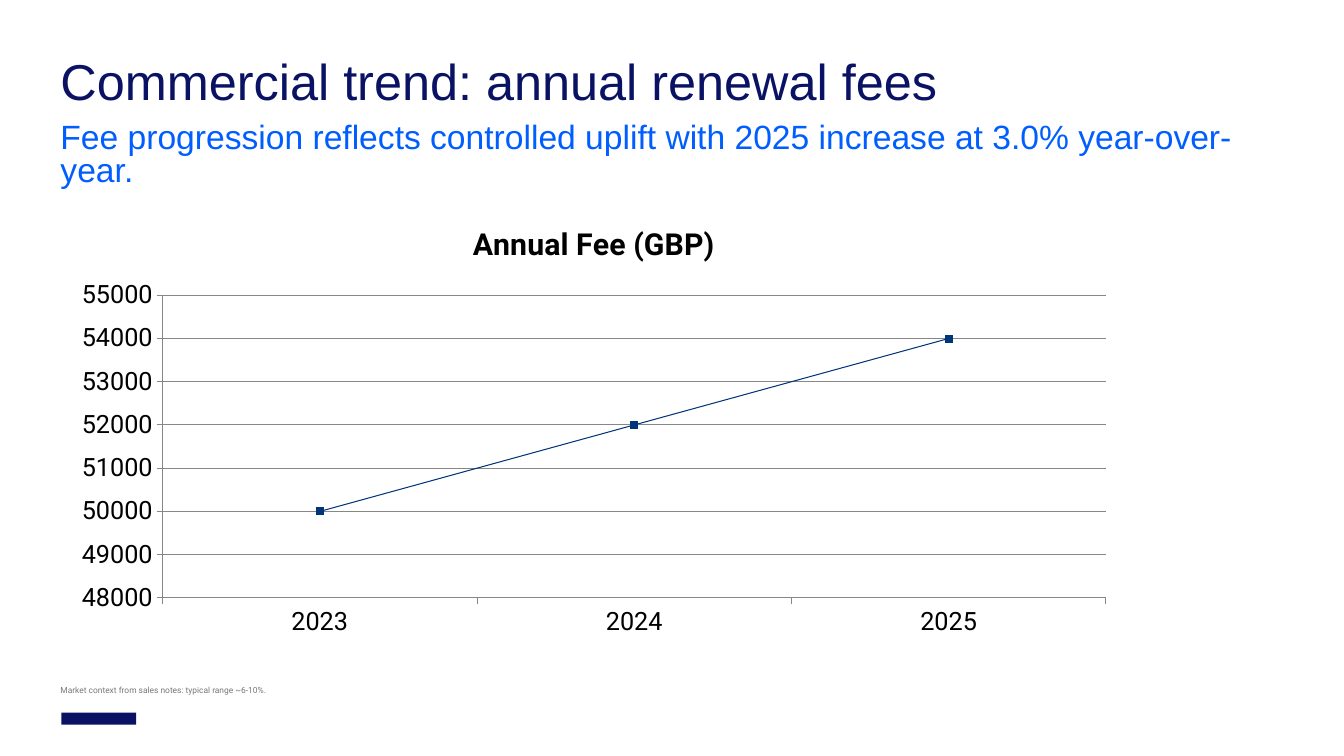
from pptx import Presentation
from pptx.chart.data import CategoryChartData
from pptx.dml.color import RGBColor
from pptx.enum.chart import XL_CHART_TYPE, XL_MARKER_STYLE, XL_TICK_MARK
from pptx.enum.shapes import MSO_SHAPE
from pptx.enum.text import MSO_ANCHOR
from pptx.util import Inches, Pt

NAVY, BLUE, GREY, LINE, AXIS = "0A1264", "005EFF", "75787B", "00357A", "878787"
LEFT = 0.6


def rgb(color):
    return RGBColor.from_string(color)


def inches(box):
    return [Inches(v) for v in box]


def add_text(s, box, text, size, color, font="Arial", spacing=1.0,
             anchor=MSO_ANCHOR.TOP):
    tf = s.shapes.add_textbox(*inches(box)).text_frame
    tf.word_wrap = True
    tf.margin_left = tf.margin_right = tf.margin_top = tf.margin_bottom = 0
    tf.vertical_anchor = anchor
    p = tf.paragraphs[0]
    p.text = text
    p.line_spacing = spacing
    f = p.runs[0].font
    f.name, f.size, f.color.rgb = font, Pt(size), rgb(color)
    return p


def add_header(s, left, top, width):
    add_text(s, (left, top, width, 0.48), "Commercial trend: annual renewal fees",
             36, NAVY, spacing=Pt(36))
    add_text(s, (left, top + 0.63, width, 0.32),
             "Fee progression reflects controlled uplift with 2025 increase "
             "at 3.0% year-over-year.", 24, BLUE, spacing=0.8)


def add_fee_chart(s, box):
    data = CategoryChartData()
    data.categories = ["2023", "2024", "2025"]
    data.add_series("Annual Fee (GBP)", (50000, 52000, 54000))
    chart = s.shapes.add_chart(XL_CHART_TYPE.LINE_MARKERS, *inches(box), data).chart
    chart.font.name, chart.font.size = "Roboto", Pt(18)
    chart.font.color.rgb = rgb("000000")
    chart.has_legend = False

    chart.has_title = True
    chart.chart_title.include_in_layout = False
    tf = chart.chart_title.text_frame
    tf.text = "Annual Fee (GBP)"
    f = tf.paragraphs[0].runs[0].font
    f.name, f.size, f.bold = "Roboto", Pt(21.6), True
    f.color.rgb = rgb("000000")

    values = chart.value_axis
    values.minimum_scale, values.maximum_scale = 48000, 55000
    values.major_unit = 1000
    values.has_major_gridlines = True
    values.major_gridlines.format.line.color.rgb = rgb(AXIS)
    for axis in (values, chart.category_axis):
        axis.major_tick_mark = XL_TICK_MARK.OUTSIDE
        axis.format.line.color.rgb = rgb(AXIS)

    plot = chart.plots[0]
    plot.vary_by_categories = False
    fees = plot.series[0]
    fees.smooth = False
    fees.format.line.color.rgb = rgb(LINE)
    fees.format.line.width = Pt(0.75)
    fees.marker.style, fees.marker.size = XL_MARKER_STYLE.SQUARE, 5
    fees.marker.format.fill.solid()
    fees.marker.format.fill.fore_color.rgb = rgb(LINE)
    fees.marker.format.line.color.rgb = rgb(LINE)


def add_footer(s, left, top):
    """Place the source note and a plain bar where the brand mark goes."""
    note = add_text(s, (left, top, 7.49, 0.32),
                    "Market context from sales notes: typical range ~6-10%.",
                    6, GREY, "Roboto", 1.01, MSO_ANCHOR.BOTTOM)
    note.space_after = Pt(6)
    mark = s.shapes.add_shape(MSO_SHAPE.RECTANGLE,
                              *inches((left + 0.01, top + 0.49, 0.74, 0.12)))
    mark.shadow.inherit = False
    mark.fill.solid()
    mark.fill.fore_color.rgb = rgb(NAVY)
    mark.line.fill.background()


def main():
    prs = Presentation()
    prs.slide_width, prs.slide_height = Inches(13.33), Inches(7.5)
    s = prs.slides.add_slide(prs.slide_layouts[6])
    add_header(s, LEFT, 0.6, 12.13)
    add_fee_chart(s, (LEFT, 2.02, 10.58, 4.39))
    add_footer(s, LEFT, 6.58)
    prs.save("out.pptx")


if __name__ == "__main__":
    main()
